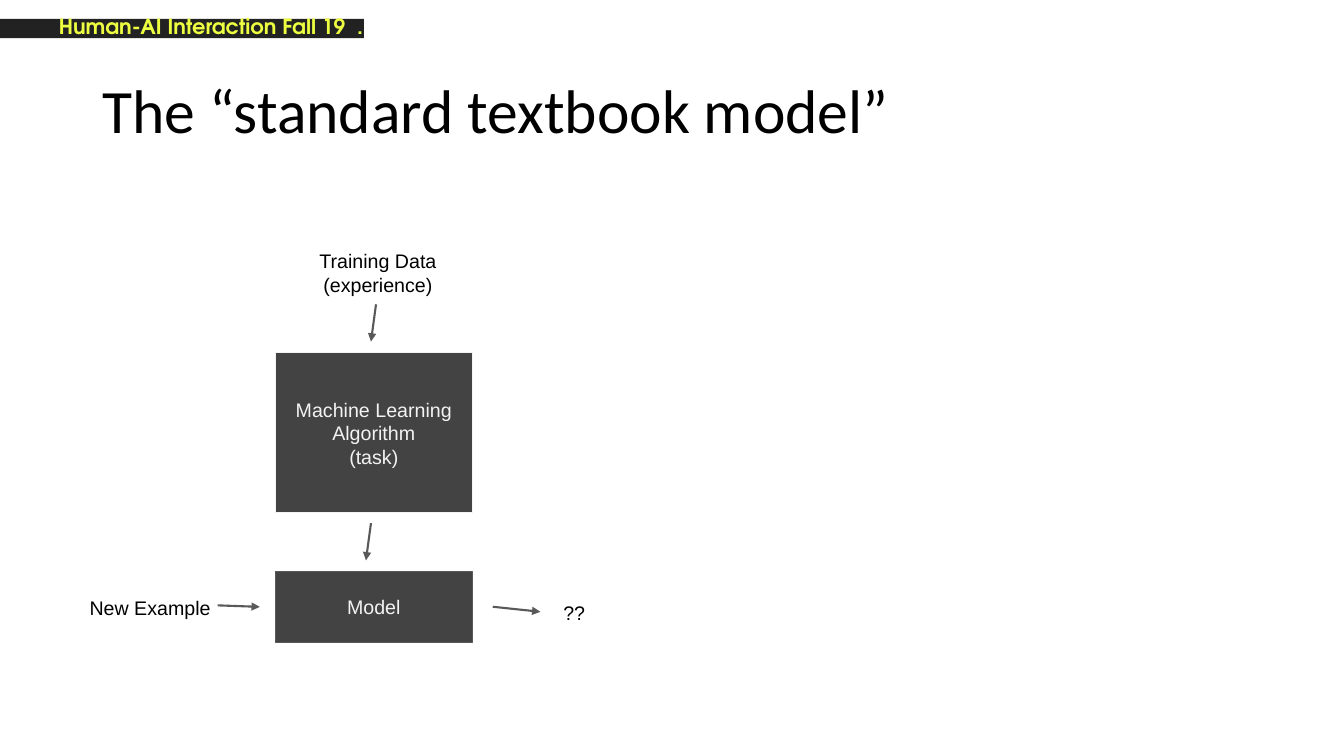
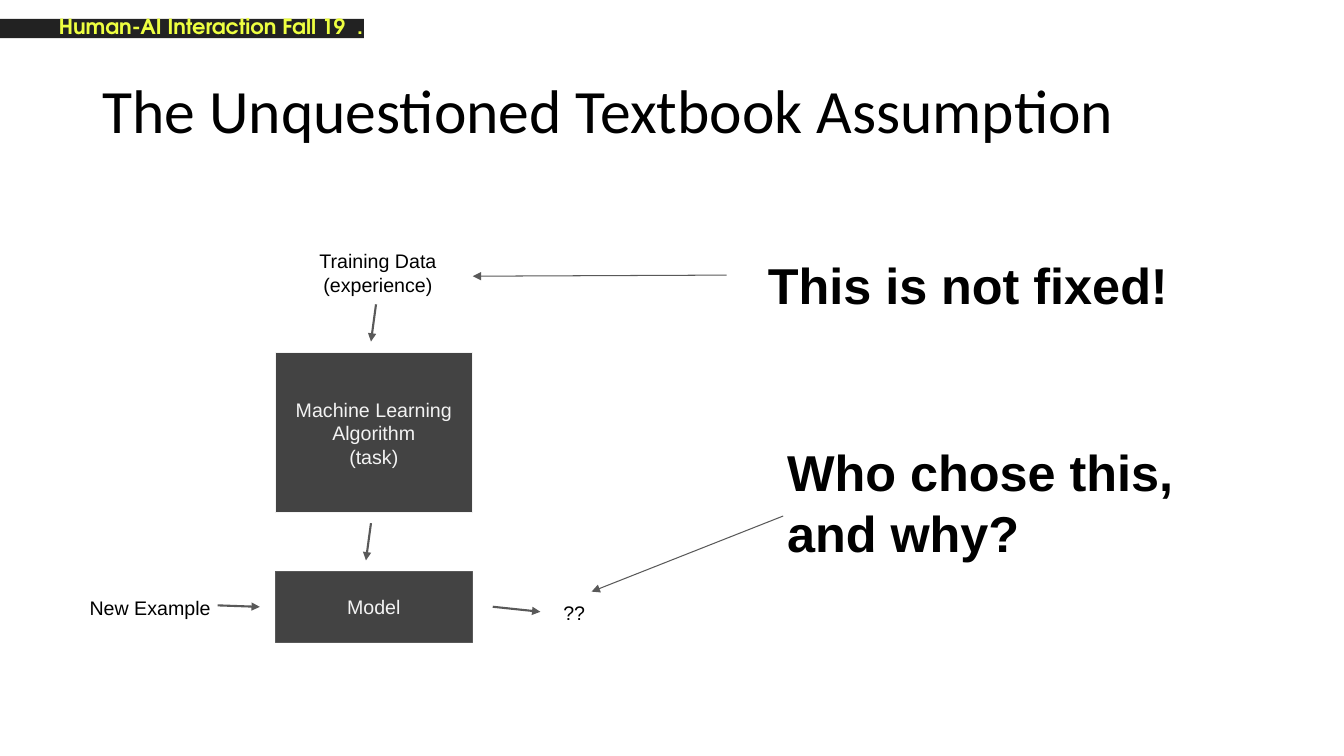
from lxml.etree import SubElement
from pptx import Presentation
from pptx.dml.color import RGBColor
from pptx.enum.shapes import MSO_CONNECTOR, MSO_SHAPE
from pptx.enum.text import MSO_ANCHOR, MSO_AUTO_SIZE, PP_ALIGN
from pptx.oxml.ns import qn
from pptx.util import Pt

# Colours
BLACK = RGBColor(0x00, 0x00, 0x00)
STRIP_DARK = RGBColor(0x22, 0x22, 0x22)
STRIP_YELLOW = RGBColor(0xEE, 0xFF, 0x41)
BOX_DARK = RGBColor(0x43, 0x43, 0x43)
LINE_GREY = RGBColor(0x59, 0x59, 0x59)
PALE_GREY = RGBColor(0xF3, 0xF3, 0xF3)

# Text formats
TITLE = {"name": "Calibri", "size": Pt(44), "bold": False}
COURSE = {"name": "TeX Gyre Adventor", "size": Pt(15), "bold": True}
LABEL = {"name": "Arial", "size": Pt(14), "bold": False}
REMARK = {"name": "Arial", "size": Pt(36), "bold": True}

INSET = 7.2


def set_font(para, values, color):
    for name, value in values.items():
        setattr(para.font, name, value)
    para.font.color.rgb = color


def write(shape, lines, values, color, align=PP_ALIGN.LEFT,
          anchor=MSO_ANCHOR.TOP, insets=(INSET,) * 4):
    """Fill a shape with one formatted paragraph per line."""
    frame = shape.text_frame
    frame.word_wrap = True
    frame.auto_size = MSO_AUTO_SIZE.NONE
    frame.vertical_anchor = anchor
    for side, inset in zip(("left", "top", "right", "bottom"), insets):
        setattr(frame, f"margin_{side}", Pt(inset))
    frame.text = "\n".join(lines)
    for para in frame.paragraphs:
        para.alignment = align
        set_font(para, values, color)


def add_label(page, text, area, values=LABEL, color=BLACK, **layout):
    box = page.shapes.add_textbox(*map(Pt, area))
    write(box, [text], values, color, **layout)


def add_block(page, area, fill, line=None):
    block = page.shapes.add_shape(MSO_SHAPE.RECTANGLE, *map(Pt, area))
    block.shadow.inherit = False
    block.fill.solid()
    block.fill.fore_color.rgb = fill
    if line is None:
        block.line.fill.background()
    else:
        block.line.color.rgb = line
        block.line.width = Pt(0.75)
    return block


def add_step(page, lines, area, line):
    block = add_block(page, area, BOX_DARK, line)
    write(block, lines, LABEL, PALE_GREY, PP_ALIGN.CENTER, MSO_ANCHOR.MIDDLE)


def add_arrow(page, start, end, width=1.5):
    arrow = page.shapes.add_connector(
        MSO_CONNECTOR.STRAIGHT, *map(Pt, (*start, *end)))
    arrow.line.color.rgb = LINE_GREY
    arrow.line.width = Pt(width)
    SubElement(arrow.line._get_or_add_ln(), qn("a:tailEnd"), type="triangle")
    SubElement(arrow._element.spPr, qn("a:effectLst"))


def add_page(deck, heading):
    """Add a slide with the course strip and its title."""
    page = deck.slides.add_slide(deck.slide_layouts[5])
    add_block(page, (0, 13.5, 260, 13.7), STRIP_DARK)
    add_label(page, "Human-AI Interaction Fall 19  .", (0, 0, 788, 80),
              COURSE, STRIP_YELLOW, insets=(42, 9.36, 9.36, 9.36))
    title = page.shapes.title
    for name, value in zip(("left", "top", "width", "height"),
                           (66, 28.8, 828, 104.4)):
        setattr(title, name, Pt(value))
    write(title, [heading], TITLE, BLACK, anchor=MSO_ANCHOR.MIDDLE,
          insets=(7.2, 3.6, 7.2, 3.6))
    title.text_frame.paragraphs[0].line_spacing = 0.9
    return page


def add_learning_diagram(page):
    # Boxes
    add_step(page, ["Machine Learning Algorithm", "(task)"],
             (196.8, 252, 140.4, 114.4), PALE_GREY)
    add_step(page, ["Model"], (196.8, 408.2, 140.4, 50.6), LINE_GREY)
    # Inputs and output
    add_label(page, "Training Data (experience)", (208.8, 170.6, 122.4, 30),
              align=PP_ALIGN.CENTER)
    add_label(page, "New Example", (56.9, 418.3, 126.7, 30))
    add_label(page, "??", (395.3, 421.9, 33.8, 30))
    # Flow
    for start, end in (
        ((268.6, 217.4), (265, 244)),
        ((265, 373.7), (261.4, 400.3)),
        ((155.5, 432.4), (185.6, 433.5)),
        ((352, 433.4), (386, 437)),
    ):
        add_arrow(page, start, end)


def add_remark(page, text, area, start, end):
    add_arrow(page, start, end, 0.75)
    add_label(page, text, area, REMARK)


def main():
    deck = Presentation()
    deck.slide_width, deck.slide_height = Pt(960), Pt(540)

    # Slide 1: the model
    add_learning_diagram(add_page(deck, "The “standard textbook model”"))

    # Slide 2: the model with remarks
    page = add_page(deck, "The Unquestioned Textbook Assumption")
    add_learning_diagram(page)
    add_remark(page, "This is not fixed!", (541.4, 174.2, 317.5, 45.4),
               (519, 196.5), (337.7, 197.3))
    add_remark(page, "Who chose this, and why?", (555.1, 308.2, 317.5, 45.4),
               (559.4, 368.6), (422.6, 422.6))

    deck.save("out.pptx")


if __name__ == "__main__":
    main()
